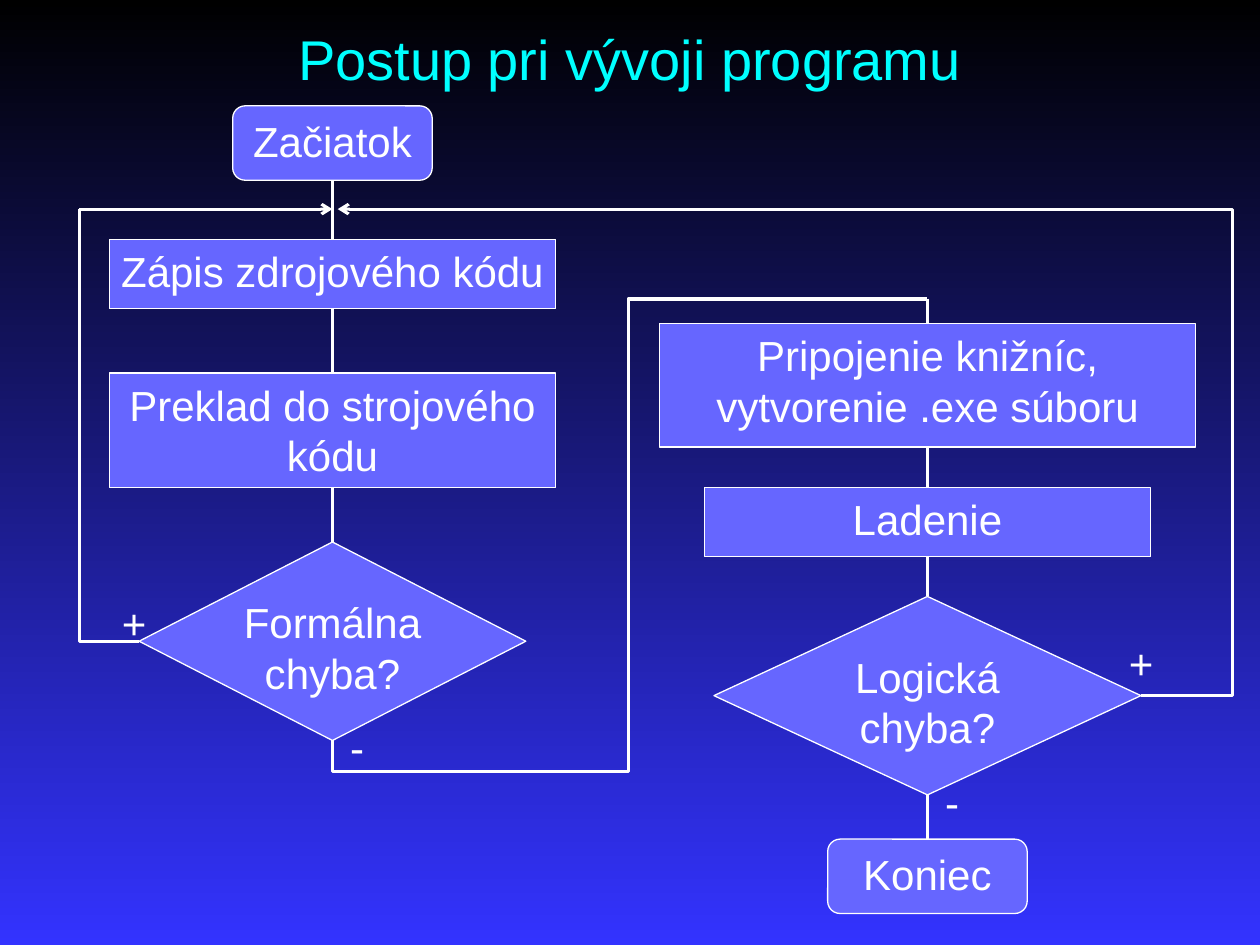
from dataclasses import dataclass

from pptx import Presentation
from pptx.dml.color import RGBColor
from pptx.enum.shapes import MSO_CONNECTOR as Link, MSO_SHAPE as Preset
from pptx.enum.text import MSO_ANCHOR as Anchor, PP_ALIGN as Align
from pptx.oxml import parse_xml
from pptx.oxml.ns import nsdecls, qn
from pptx.util import Pt

FONT = "Arial"
WHITE = "FFFFFF"
LEFT_AXIS, RIGHT_AXIS = 190, 530
MERGE_Y = 119.5
TOP, BOTTOM = 0, 2


@dataclass
class Step:
    text: str
    preset: int
    axis: float
    top: float
    width: float
    height: float
    wrap: bool = False
    inset: float = 7.2


@dataclass
class Label:
    text: str
    left: float
    top: float


@dataclass
class Elbow:
    left: float
    top: float
    width: float
    height: float
    preset: str
    rotation: int = 0
    flipped: bool = False
    adjustments: tuple = ()
    arrow: bool = False


def color(value: str) -> RGBColor:
    return RGBColor.from_string(value)


def write(shape, text: str, align=None, size: float = 24, hue: str = WHITE,
          anchor=Anchor.TOP, wrap: bool = True) -> None:
    frame = shape.text_frame
    frame.word_wrap = wrap
    frame.vertical_anchor = anchor
    paragraph = frame.paragraphs[0]
    paragraph.alignment = align
    run = paragraph.add_run()
    run.text = text
    run.font.name = FONT
    run.font.size = Pt(size)
    run.font.color.rgb = color(hue)


def draw_background(slide) -> None:
    fill = slide.background.fill
    fill.gradient()
    fill.gradient_angle = 270
    for stop, position, hue in zip(fill.gradient_stops, (0, 1), ("000000", "3333FF")):
        stop.position = position
        stop.color.rgb = color(hue)


def draw_step(slide, step: Step):
    shape = slide.shapes.add_shape(
        step.preset, Pt(step.axis - step.width / 2), Pt(step.top),
        Pt(step.width), Pt(step.height))
    shape.shadow.inherit = False
    shape.fill.solid()
    shape.fill.fore_color.rgb = color("6666FF")
    shape.line.color.rgb = color(WHITE)
    shape.line.width = Pt(0.75)
    write(shape, step.text, Align.CENTER, wrap=step.wrap)
    frame = shape.text_frame
    frame.margin_left = frame.margin_right = Pt(step.inset)
    frame.margin_top = frame.margin_bottom = Pt(min(step.inset, 3.6))
    return shape


def draw_label(slide, label: Label) -> None:
    box = slide.shapes.add_textbox(Pt(label.left), Pt(label.top), Pt(28), Pt(36))
    write(box, label.text)


def draw_line(slide, start: tuple, end: tuple, kind=Link.STRAIGHT, arrow: bool = False):
    connector = slide.shapes.add_connector(kind, *(Pt(value) for value in start + end))
    connector.line.color.rgb = color(WHITE)
    connector.line.width = Pt(1.75)
    if arrow:
        connector.line._get_or_add_ln().append(
            parse_xml(f'<a:tailEnd {nsdecls("a")} type="arrow"/>'))
    connector._element.spPr.append(parse_xml(f'<a:effectLst {nsdecls("a")}/>'))
    return connector


def join(slide, upper, lower) -> None:
    connector = draw_line(slide, (0, 0), (0, 0))
    connector.begin_connect(upper, BOTTOM)
    connector.end_connect(lower, TOP)


def draw_elbow(slide, elbow: Elbow) -> None:
    end = (elbow.left + elbow.width, elbow.top + elbow.height)
    connector = draw_line(slide, (elbow.left, elbow.top), end, Link.ELBOW, elbow.arrow)
    properties = connector._element.spPr
    frame = properties.find(qn("a:xfrm"))
    if elbow.rotation:
        frame.set("rot", str(elbow.rotation * 60000))
    if elbow.flipped:
        frame.set("flipH", "1")
        frame.set("flipV", "1")
    geometry = properties.find(qn("a:prstGeom"))
    geometry.set("prst", elbow.preset)
    guides = geometry.find(qn("a:avLst"))
    for number, value in enumerate(elbow.adjustments, 1):
        guides.append(parse_xml(
            f'<a:gd {nsdecls("a")} name="adj{number}" fmla="val {value}"/>'))


LEFT_STEPS = [
    Step("Začiatok", Preset.FLOWCHART_ALTERNATE_PROCESS, LEFT_AXIS, 60.5, 114, 42.5),
    Step("Zápis zdrojového kódu", Preset.FLOWCHART_PROCESS, LEFT_AXIS, 136.8, 255, 39.6),
    Step("Preklad do strojového kódu", Preset.FLOWCHART_PROCESS,
         LEFT_AXIS, 213.2, 255, 65.5, True),
    Step("Formálna chyba?", Preset.FLOWCHART_DECISION,
         LEFT_AXIS, 309.7, 221, 113.4, True, 2.88),
]
RIGHT_STEPS = [
    Step("Pripojenie knižníc, vytvorenie .exe súboru", Preset.FLOWCHART_PROCESS,
         RIGHT_AXIS, 184.8, 306, 70.6, True),
    Step("Ladenie", Preset.FLOWCHART_PROCESS, RIGHT_AXIS, 278.6, 255, 39.6),
    Step("Logická chyba?", Preset.FLOWCHART_DECISION,
         RIGHT_AXIS, 340.8, 244, 113.4, True, 2.88),
    Step("Koniec", Preset.FLOWCHART_ALTERNATE_PROCESS, RIGHT_AXIS, 479.5, 114, 42.5),
]
LABELS = [Label("+", 62.6, 337.7), Label("-", 193, 409),
          Label("+", 638, 360.7), Label("-", 533, 440)]
ELBOWS = [
    Elbow(45.4, MERGE_Y, 34.1, 247, "bentConnector2", rotation=180),
    Elbow(234, 126.9, 252, 340, "bentConnector4", 90, True, (-7100, 49700)),
    Elbow(193, MERGE_Y, 459, 278, "bentConnector3", 0, True, (-11400,), True),
]


def main() -> None:
    presentation = Presentation()
    presentation.slide_width, presentation.slide_height = Pt(720), Pt(540)
    slide = presentation.slides.add_slide(presentation.slide_layouts[6])
    draw_background(slide)
    title = slide.shapes.add_textbox(Pt(158.4), Pt(12.2), Pt(403.2), Pt(42))
    write(title, "Postup pri vývoji programu", Align.CENTER, 32, "00FFFF", Anchor.MIDDLE)

    columns = [[draw_step(slide, step) for step in steps]
               for steps in (LEFT_STEPS, RIGHT_STEPS)]
    for column in columns:
        for upper, lower in zip(column, column[1:]):
            join(slide, upper, lower)
    for elbow in ELBOWS:
        draw_elbow(slide, elbow)
    draw_line(slide, (45.4, MERGE_Y), (LEFT_AXIS, MERGE_Y), arrow=True)
    entry = draw_line(slide, (RIGHT_AXIS, 170.6), (RIGHT_AXIS, 184.8))
    entry.end_connect(columns[1][0], TOP)
    for label in LABELS:
        draw_label(slide, label)
    presentation.save("out.pptx")


if __name__ == "__main__":
    main()
